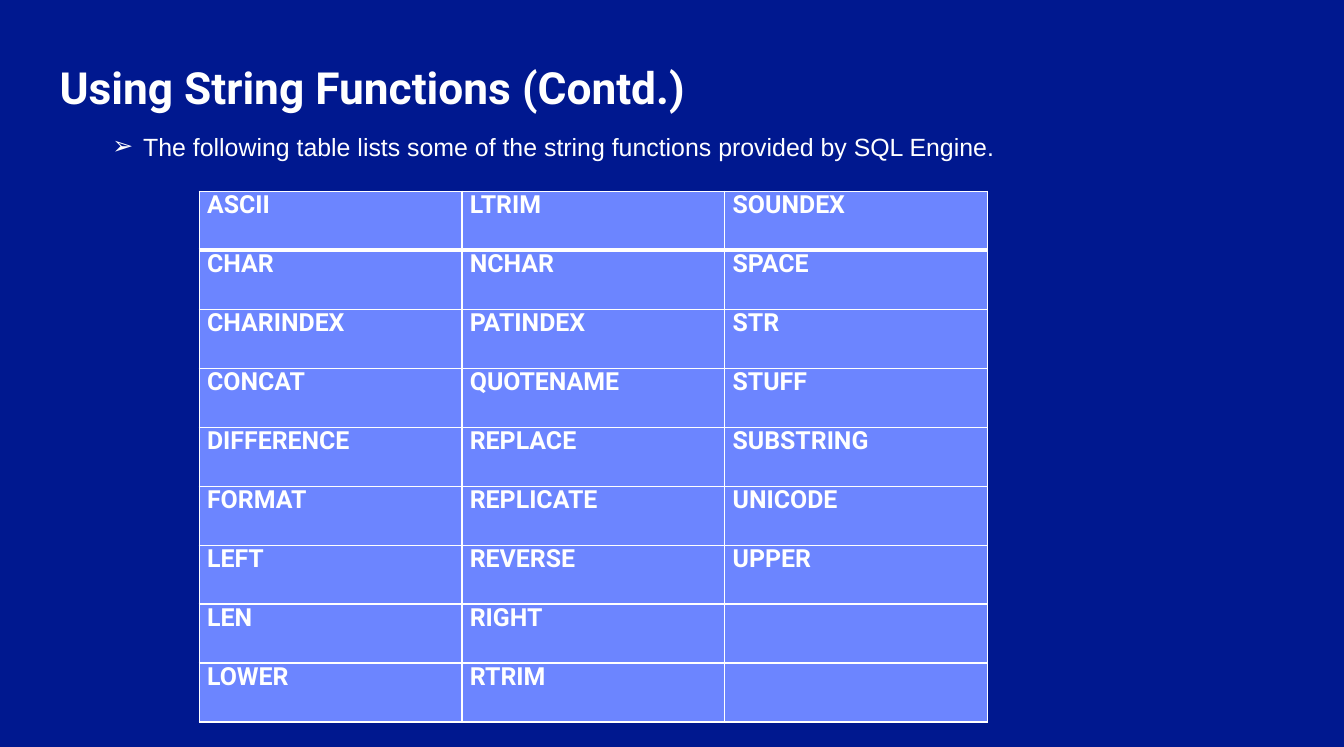
"""Build the slide that lists the string functions in a table."""
from lxml import etree
from pptx import Presentation
from pptx.dml.color import RGBColor
from pptx.enum.text import MSO_ANCHOR
from pptx.oxml.ns import qn
from pptx.util import Inches, Pt

TOP = MSO_ANCHOR.TOP
COLORS = {"background": "00188F", "cell": "6C85FF", "white": "FFFFFF"}
FUNCTIONS = [
    ["ASCII", "CHAR", "CHARINDEX", "CONCAT", "DIFFERENCE", "FORMAT", "LEFT", "LEN", "LOWER"],
    ["LTRIM", "NCHAR", "PATINDEX", "QUOTENAME", "REPLACE", "REPLICATE", "REVERSE", "RIGHT", "RTRIM"],
    ["SOUNDEX", "SPACE", "STR", "STUFF", "SUBSTRING", "UNICODE", "UPPER", "", ""],
]
COLS, ROWS = len(FUNCTIONS), len(FUNCTIONS[0])
COL_W, ROW_H = 2.64, 5.33 / ROWS


def write(tf, text, size=18, font="Roboto", bold=False, spacing=None):
    p = tf.paragraphs[0]
    p.line_spacing = spacing
    r = p.add_run()
    r.text = text
    r.font.size = Pt(size)
    r.font.name = font
    r.font.bold = bold
    r.font.color.rgb = RGBColor.from_string(COLORS["white"])
    return p


def add_border(tc_pr, side, width):
    ln = etree.SubElement(tc_pr, qn(f"a:ln{side}"), w=str(Pt(width)))
    fill = etree.SubElement(ln, qn("a:solidFill"))
    etree.SubElement(fill, qn("a:srgbClr"), val=COLORS["white"])


prs = Presentation()
prs.slide_width, prs.slide_height = Inches(13.5), Inches(7.5)
s = prs.slides.add_slide(prs.slide_layouts[6])
s.background.fill.solid()
s.background.fill.fore_color.rgb = RGBColor.from_string(COLORS["background"])

title = s.shapes.add_textbox(Inches(0.5), Inches(0.56), Inches(7.5), Inches(0.64))
title.text_frame.word_wrap = True
write(title.text_frame, "Using String Functions (Contd.)", size=32, bold=True)

intro = s.shapes.add_textbox(Inches(0.53), Inches(1.27), Inches(9.92), Inches(0.4))
intro.text_frame.word_wrap = True
p = write(
    intro.text_frame,
    "The following table lists some of the string functions provided by SQL Engine.",
    font="Arial",
)
p.level = 1
p_pr = p._p.get_or_add_pPr()
p_pr.set("marL", str(Inches(0.81)))
p_pr.set("indent", str(Inches(-0.31)))
etree.SubElement(p_pr, qn("a:buFont"), typeface="Arial")
etree.SubElement(p_pr, qn("a:buChar"), char="➢")

table = s.shapes.add_table(
    ROWS, COLS, Inches(2), Inches(1.92), Inches(COL_W * COLS), Inches(ROW_H * ROWS)
).table
table.first_row = table.horz_banding = False
for c, names in enumerate(FUNCTIONS):
    table.columns[c].width = Inches(COL_W)
    for row, name in enumerate(names):
        table.rows[row].height = Inches(ROW_H)
        cell = table.cell(row, c)
        cell.margin_left = cell.margin_right = Inches(0.08)
        cell.margin_top = cell.margin_bottom = Inches(0.1)
        cell.vertical_anchor = TOP
        tc_pr = cell._tc.get_or_add_tcPr()
        widths = {"L": 1, "R": 1, "T": 3 if row == 1 else 1, "B": 3 if row == 0 else 1}
        for side, width in widths.items():
            add_border(tc_pr, side, width)
        cell.fill.solid()
        cell.fill.fore_color.rgb = RGBColor.from_string(COLORS["cell"])
        if name:
            write(cell.text_frame, name, bold=True, spacing=Pt(13.5))

prs.save("out.pptx")
